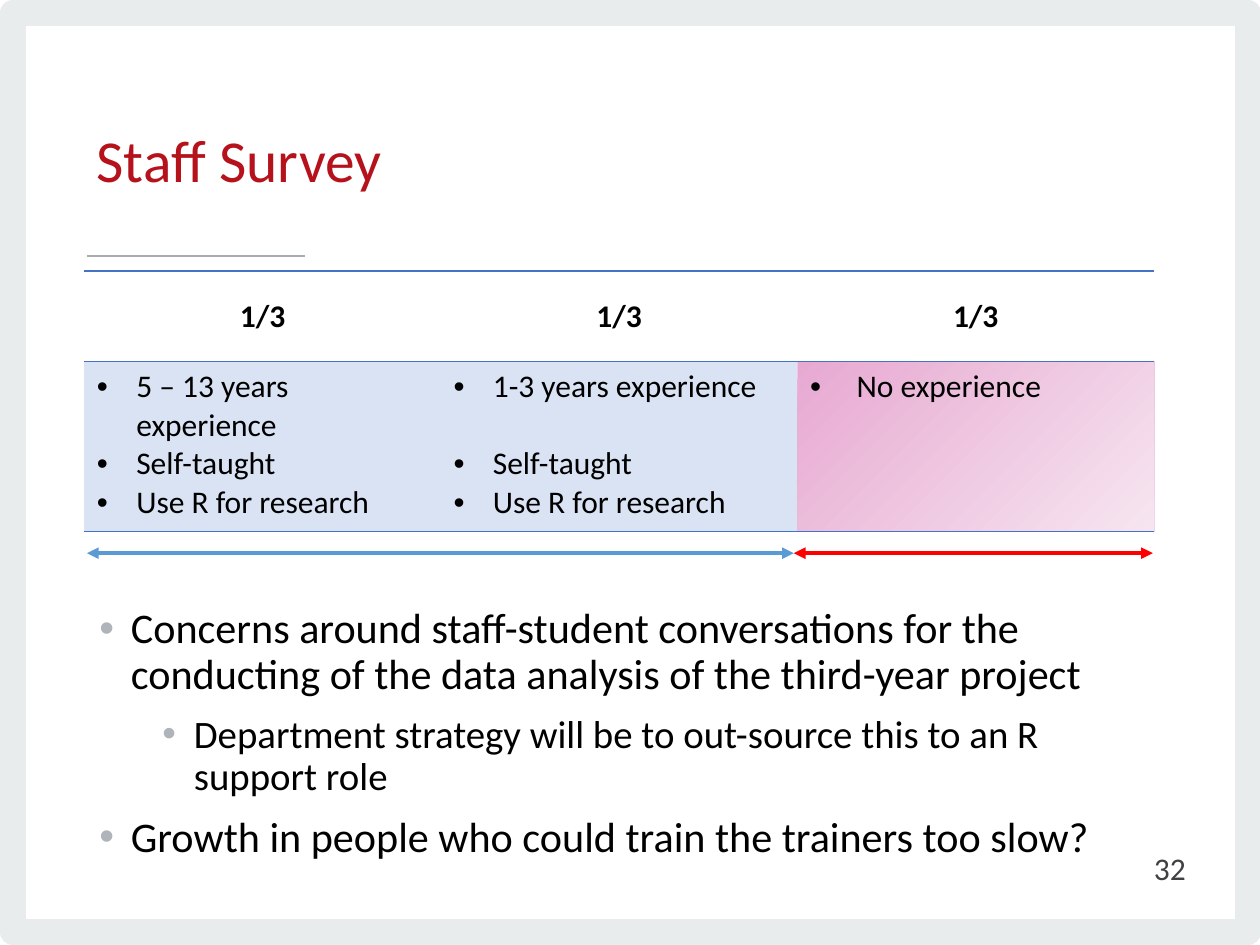
"""Build the staff survey slide."""
from dataclasses import dataclass

from lxml.etree import SubElement
from pptx import Presentation
from pptx.dml.color import RGBColor as RGB
from pptx.enum.shapes import MSO_CONNECTOR as CONNECTOR
from pptx.enum.text import MSO_ANCHOR as ANCHOR, PP_ALIGN as ALIGN
from pptx.oxml import parse_xml
from pptx.oxml.ns import nsdecls, qn
from pptx.util import Pt


@dataclass(frozen=True)
class Theme:
    """Colours, font and type sizes of the deck."""
    font: str = "Calibri"
    black: str = "000000"
    title: str = "B5121B"
    number: str = "414042"
    frame: str = "E9ECED"
    rule: str = "A6ADB1"
    bullet: str = "AEB4B9"
    border: str = "4472C4"
    cell: str = "DAE3F3"
    pink: tuple = ("E7A9D2", "F6E5F0")
    experienced: str = "5B9BD5"
    novice: str = "FF0000"
    title_size: float = 34
    point_size: float = 24.1
    subpoint_size: float = 22.2
    small_size: float = 18


class SlideBuilder:
    """Draw styled elements on one slide."""

    def __init__(self, slide, theme):
        """Keep the slide and its theme."""
        self.slide = slide
        self.theme = theme

    def frame(self, left, top, width, height, weight):
        """Outline the page with a thick border."""
        right, bottom = left + width, top + height
        builder = self.slide.shapes.build_freeform(Pt(left), Pt(bottom))
        corners = [(right, bottom), (right, top), (left, top)]
        builder.add_line_segments([(Pt(x), Pt(y)) for x, y in corners], close=True)
        shape = builder.convert_to_shape()
        shape.shadow.inherit = False
        shape.fill.background()
        shape.line.color.rgb = RGB.from_string(self.theme.frame)
        shape.line.width = Pt(weight)
        SubElement(shape.line._get_or_add_ln(), qn("a:round"))

    def line(self, start, end, y, color, weight, arrows=False):
        """Draw a horizontal line, with arrowheads at both ends if asked."""
        line = self.slide.shapes.add_connector(
            CONNECTOR.STRAIGHT, Pt(start), Pt(y), Pt(end), Pt(y))
        line.line.color.rgb = RGB.from_string(color)
        line.line.width = Pt(weight)
        SubElement(line._element.spPr, qn("a:effectLst"))
        if arrows:
            outline = line.line._get_or_add_ln()
            for tag in ("a:headEnd", "a:tailEnd"):
                SubElement(outline, qn(tag), type="triangle")

    def text_frame(self, left, top, width, height, anchor=ANCHOR.MIDDLE):
        """Add a wrapping text box and return its text frame."""
        box = self.slide.shapes.add_textbox(Pt(left), Pt(top), Pt(width), Pt(height))
        box.text_frame.word_wrap = True
        box.text_frame.vertical_anchor = anchor
        return box.text_frame

    def add_span(self, para, text, size, color, bold=False):
        """Add one styled run to a paragraph."""
        span = para.add_run()
        span.text = text
        span.font.name = self.theme.font
        span.font.size = Pt(size)
        span.font.bold = bold
        span.font.color.rgb = RGB.from_string(color)

    def bullet(self, para, margin, hanging, color):
        """Give a paragraph a hanging bullet."""
        props = para._p.get_or_add_pPr()
        props.set("marL", str(Pt(margin)))
        props.set("indent", str(Pt(-hanging)))
        bullet_color = SubElement(props, qn("a:buClr"))
        SubElement(bullet_color, qn("a:srgbClr"), val=color)
        SubElement(props, qn("a:buFont"), typeface="Arial")
        SubElement(props, qn("a:buChar"), char="•")

    def points(self, box, items):
        """Fill a text box with (level, text) points."""
        sizes = (self.theme.point_size, self.theme.subpoint_size)
        for index, (level, text) in enumerate(items):
            para = box.add_paragraph() if index else box.paragraphs[0]
            para.level = level
            para.line_spacing = 0.9
            para.space_before = Pt(9.6)
            self.bullet(para, 18 + 36 * level, 18, self.theme.bullet)
            self.add_span(para, text, sizes[level], self.theme.black)

    def borders(self, cell):
        """Rule a cell above and below."""
        props = cell._tc.get_or_add_tcPr()
        for index, tag in enumerate(("lnT", "lnB")):
            props.insert(index, parse_xml(
                f'<a:{tag} {nsdecls("a")} w="{Pt(1)}"><a:solidFill>'
                f'<a:srgbClr val="{self.theme.border}"/></a:solidFill></a:{tag}>'))

    def fill_body(self, cell, shaded):
        """Fill a body cell with a pink gradient or plain blue."""
        if not shaded:
            cell.fill.solid()
            cell.fill.fore_color.rgb = RGB.from_string(self.theme.cell)
            return
        cell.fill.gradient()
        cell.fill.gradient_angle = 315
        for stop, color in zip(cell.fill.gradient_stops, self.theme.pink):
            stop.color.rgb = RGB.from_string(color)

    def table(self, left, top, width, row_heights, columns):
        """Add a table from (heading, points, shaded) columns."""
        table = self.slide.shapes.add_table(
            2, len(columns), Pt(left), Pt(top), Pt(width), Pt(sum(row_heights))).table
        table.horz_banding = False
        table._tbl.tblPr.find(qn("a:tableStyleId")).text = (
            "{2D5ABB26-0587-4C30-8999-92F81FD0307C}")
        for row, height in zip(table.rows, row_heights):
            row.height = Pt(height)
        size, color = self.theme.small_size, self.theme.black
        for index, (heading, items, shaded) in enumerate(columns):
            head, body = table.cell(0, index), table.cell(1, index)
            head.fill.background()
            head.vertical_anchor = ANCHOR.MIDDLE
            head.text_frame.paragraphs[0].alignment = ALIGN.CENTER
            self.add_span(head.text_frame.paragraphs[0], heading, size, color, bold=True)
            self.fill_body(body, shaded)
            for number, (text, gap) in enumerate(items):
                frame = body.text_frame
                para = frame.add_paragraph() if number else frame.paragraphs[0]
                para.space_before = Pt(gap)
                self.bullet(para, 22.5, 22.5, color)
                self.add_span(para, text, size, color)
            self.borders(head)
            self.borders(body)


def main():
    """Compose the slide and save the deck."""
    deck = Presentation()
    deck.slide_width, deck.slide_height = Pt(720), Pt(540)
    theme = Theme()
    page = SlideBuilder(deck.slides.add_slide(deck.slide_layouts[6]), theme)

    page.frame(7.4, 7.4, 705.8, 525.2, 15.11)
    page.line(49.7, 174.2, 146.2, theme.rule, 1.33)

    title = page.text_frame(48.2, 52.6, 420.5, 80.6).paragraphs[0]
    title.line_spacing = Pt(36)
    title.space_before = Pt(3.2)
    page.add_span(title, "Staff Survey", theme.title_size, theme.title)

    number = page.text_frame(468.7, 481.7, 216, 28.8).paragraphs[0]
    number.alignment = ALIGN.RIGHT
    page.add_span(number, "32", theme.small_size, theme.number)

    page.points(page.text_frame(49.7, 343.4, 620.6, 162.7, ANCHOR.TOP), [
        (0, "Concerns around staff-student conversations for the conducting "
            "of the data analysis of the third-year project"),
        (1, "Department strategy will be to out-source this to an R support role"),
        (0, "Growth in people who could train the trainers too slow?"),
    ])

    line_gap = 22
    research = ("Use R for research", 0)
    page.table(48.2, 154.8, 611.3, (51.8, 97.2), [
        ("1/3", [("5 – 13 years experience", 0), ("Self-taught", 0), research], False),
        ("1/3", [("1-3 years experience", 0), ("Self-taught", line_gap), research], False),
        ("1/3", [(" No experience", 0)], True),
    ])
    page.line(49.7, 453.6, 316.1, theme.experienced, 2.25, arrows=True)
    page.line(453.6, 658.8, 316.1, theme.novice, 2.25, arrows=True)

    deck.save("out.pptx")


if __name__ == "__main__":
    main()
